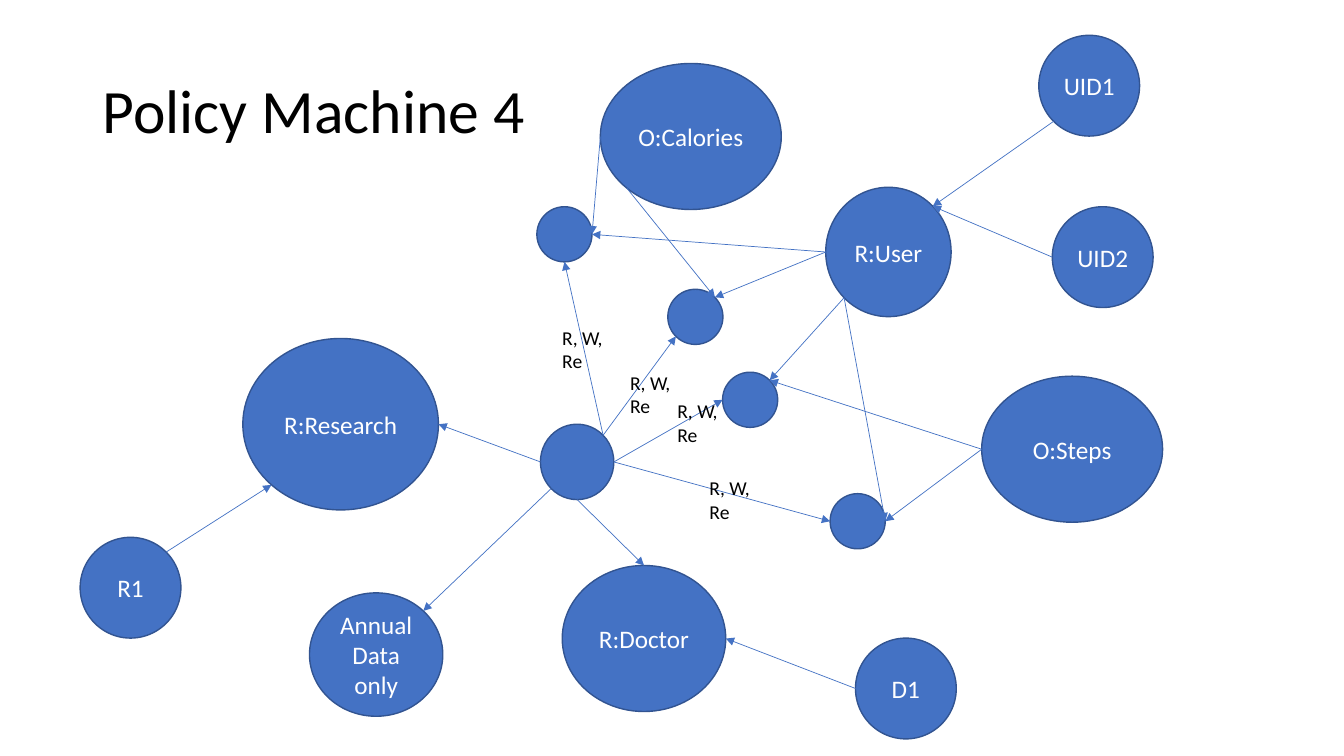
from math import cos, pi, sin

from lxml.etree import SubElement
from pptx import Presentation
from pptx.dml.color import RGBColor
from pptx.enum.shapes import MSO_CONNECTOR as Connector, MSO_SHAPE as Shape
from pptx.enum.text import MSO_ANCHOR as Anchor, MSO_AUTO_SIZE as AutoSize, PP_ALIGN as Align
from pptx.oxml.ns import qn
from pptx.util import Cm, Pt

COLORS = {"node": "4472C4", "outline": "325491", "light": "FFFFFF", "dark": "000000"}
FONT = "Calibri"

# Connection sites of an ellipse, counted counter-clockwise from the top
TOP, TOP_LEFT, LEFT, BOTTOM_LEFT, BOTTOM, BOTTOM_RIGHT, RIGHT, TOP_RIGHT = range(8)

PERSON = (2.54, 2.54)
RULE = (1.39, 1.39)
OBJECT = (4.56, 3.68)

# name: (text, left, top, (width, height)) in centimetres
NODES = {
    "uid2": ("UID2", 26.52, 5.21, PERSON),
    "rule1": ("", 13.53, 5.21, RULE),
    "rule2": ("", 16.83, 7.29, RULE),
    "rule3": ("", 18.21, 9.38, RULE),
    "rule4": ("", 20.92, 12.44, RULE),
    "research": ("R:Research", 6.12, 8.53, (4.93, 4.32)),
    "doctor": ("R:Doctor", 14.17, 14.25, (4.12, 3.68)),
    "calories": ("O:Calories", 15.13, 1.6, OBJECT),
    "steps": ("O:Steps", 24.74, 9.48, OBJECT),
    "user": ("R:User", 20.81, 4.72, (3.16, 3.26)),
    "uid1": ("UID1", 26.18, 0.89, PERSON),
    "r1": ("R1", 2.02, 13.54, PERSON),
    "d1": ("D1", 21.56, 16.08, PERSON),
    "annual": ("Annual Data only", 7.8, 14.94, (3.36, 3.11)),
    "hub": ("", 13.62, 10.69, (1.85, 1.9)),
}

# (start node, start site, end node, end site)
ARROWS = [
    ("r1", TOP_RIGHT, "research", BOTTOM_LEFT),
    ("d1", LEFT, "doctor", RIGHT),
    ("uid1", BOTTOM_LEFT, "user", TOP_RIGHT),
    ("uid2", LEFT, "user", TOP_RIGHT),
    ("user", LEFT, "rule1", RIGHT),
    ("user", LEFT, "rule2", TOP_RIGHT),
    ("user", BOTTOM_LEFT, "rule3", TOP_RIGHT),
    ("user", BOTTOM_LEFT, "rule4", RIGHT),
    ("calories", LEFT, "rule1", RIGHT),
    ("calories", BOTTOM_LEFT, "rule2", TOP_RIGHT),
    ("steps", LEFT, "rule3", TOP_RIGHT),
    ("steps", LEFT, "rule4", RIGHT),
    ("hub", BOTTOM_LEFT, "annual", TOP_RIGHT),
    ("hub", LEFT, "research", RIGHT),
    ("hub", BOTTOM, "doctor", TOP),
    ("hub", TOP_RIGHT, "rule1", BOTTOM),
    ("hub", TOP_RIGHT, "rule2", BOTTOM_LEFT),
    ("hub", RIGHT, "rule3", LEFT),
    ("hub", RIGHT, "rule4", LEFT),
]

RIGHTS_POSITIONS = [(13.92, 8.08), (15.63, 9.22), (16.82, 9.94), (17.63, 11.87)]


def color(name):
    return RGBColor.from_string(COLORS[name])


def site_point(shape, site):
    angle = pi / 2 + site * pi / 4
    x = shape.left + shape.width / 2 * (1 + cos(angle))
    y = shape.top + shape.height / 2 * (1 - sin(angle))
    return round(x), round(y)


class GraphSlide:
    def __init__(self, presentation):
        self.slide = presentation.slides.add_slide(presentation.slide_layouts[5])
        self.shapes = self.slide.shapes

    def set_text(self, frame, text, size, color_name, align):
        frame.text = text
        frame.word_wrap = True
        paragraph = frame.paragraphs[0]
        paragraph.alignment = align
        for run in paragraph.runs:
            run.font.name = FONT
            run.font.size = Pt(size)
            run.font.color.rgb = color(color_name)
        return paragraph

    def title(self, text, left, top, width, height):
        title = self.shapes.title
        title.left, title.top, title.width, title.height = map(Cm, (left, top, width, height))
        paragraph = self.set_text(title.text_frame, text, 44, "dark", Align.LEFT)
        paragraph.line_spacing = 0.9
        title.text_frame.vertical_anchor = Anchor.MIDDLE

    def node(self, text, left, top, size):
        shape = self.shapes.add_shape(Shape.OVAL, Cm(left), Cm(top), *map(Cm, size))
        shape.shadow.inherit = False
        shape.fill.solid()
        shape.fill.fore_color.rgb = color("node")
        shape.line.color.rgb = color("outline")
        shape.line.width = Pt(1)
        if text:
            self.set_text(shape.text_frame, text, 18, "light", Align.CENTER)
            shape.text_frame.vertical_anchor = Anchor.MIDDLE
        return shape

    def arrow(self, start, start_site, end, end_site):
        connector = self.shapes.add_connector(
            Connector.STRAIGHT, *site_point(start, start_site), *site_point(end, end_site))
        connector.line.color.rgb = color("node")
        connector.line.width = Pt(0.5)
        # Glue both ends to the nodes
        element = connector._element
        links = element.find(".//" + qn("p:cNvCxnSpPr"))
        for tag, shape, site in (("a:stCxn", start, start_site), ("a:endCxn", end, end_site)):
            SubElement(links, qn(tag), id=str(shape.shape_id), idx=str(site))
        # Arrowhead, and no shadow
        SubElement(element.find(".//" + qn("a:ln")), qn("a:tailEnd"), type="triangle")
        SubElement(element.spPr, qn("a:effectLst"))

    def label(self, text, left, top):
        box = self.shapes.add_textbox(Cm(left), Cm(top), Cm(1.63), Cm(1.45))
        self.set_text(box.text_frame, text, 14, "dark", Align.LEFT)
        box.text_frame.auto_size = AutoSize.SHAPE_TO_FIT_TEXT


def main():
    presentation = Presentation()
    presentation.slide_width, presentation.slide_height = Cm(33.87), Cm(19.05)
    graph = GraphSlide(presentation)
    graph.title("Policy Machine 4", 2.33, 1.01, 29.21, 3.68)

    # Nodes and the arrows between them
    nodes = {name: graph.node(*values) for name, values in NODES.items()}
    for start, start_site, end, end_site in ARROWS:
        graph.arrow(nodes[start], start_site, nodes[end], end_site)

    # Access rights on the arrows from the hub
    for left, top in RIGHTS_POSITIONS:
        graph.label("R, W, Re", left, top)

    presentation.save("out.pptx")


if __name__ == "__main__":
    main()
